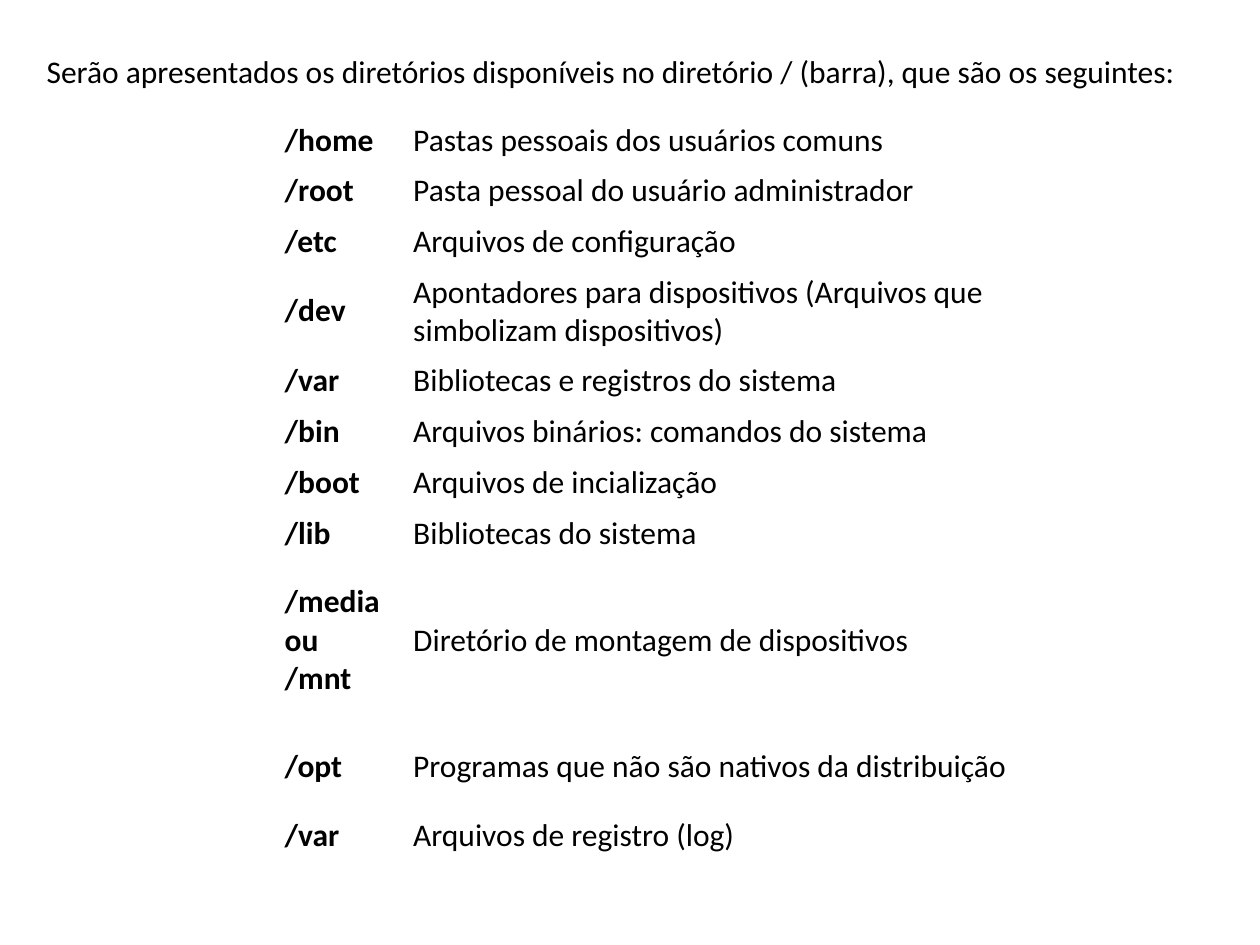
"""Build a slide listing the directories found under the root directory."""
from typing import NamedTuple

from pptx import Presentation
from pptx.dml.color import RGBColor
from pptx.enum.text import MSO_ANCHOR, MSO_AUTO_SIZE, PP_ALIGN
from pptx.util import Cm, Pt

LEFT = PP_ALIGN.LEFT
TOP = MSO_ANCHOR.TOP
MIDDLE = MSO_ANCHOR.MIDDLE
GROW = MSO_AUTO_SIZE.SHAPE_TO_FIT_TEXT
BLACK = RGBColor(0x00, 0x00, 0x00)

TITLE_ONLY = 5
FONT_FORMAT = {"name": "Calibri", "size": Pt(18)}
TITLE_PLACE = {"left": Cm(0.69), "top": Cm(0.91), "width": Cm(24.21), "height": Cm(3.3)}
TITLE_FRAME = {"word_wrap": True, "vertical_anchor": TOP, "auto_size": GROW}
TABLE_FORMAT = {"first_row": False, "horz_banding": False}
MARGINS = {
    "margin_left": Cm(0.25),
    "margin_right": Cm(0.25),
    "margin_top": Cm(0.13),
    "margin_bottom": Cm(0.13),
}
COLUMN_WIDTHS = (Cm(2.59), Cm(12.93))
ONE_LINE = Cm(1.02)
TWO_LINES = Cm(1.78)
TALL = Cm(3.3)

INTRODUCTION = (
    "Serão apresentados os diretórios disponíveis no diretório / (barra), "
    "que são os seguintes:"
)


class Directory(NamedTuple):
    name: str
    purpose: str
    height: Cm = ONE_LINE


DIRECTORIES = (
    Directory("/home", "Pastas pessoais dos usuários comuns"),
    Directory("/root", "Pasta pessoal do usuário administrador"),
    Directory("/etc", "Arquivos de configuração"),
    Directory(
        "/dev",
        "Apontadores para dispositivos (Arquivos que simbolizam dispositivos)",
        TWO_LINES,
    ),
    Directory("/var", "Bibliotecas e registros do sistema"),
    Directory("/bin", "Arquivos binários: comandos do sistema"),
    Directory("/boot", "Arquivos de incialização"),
    Directory("/lib", "Bibliotecas do sistema"),
    Directory("/media ou /mnt", "Diretório de montagem de dispositivos", TALL),
    Directory("/opt", "Programas que não são nativos da distribuição", TWO_LINES),
    Directory("/var", "Arquivos de registro (log)"),
)


def apply_format(target, values: dict) -> None:
    for name, value in values.items():
        setattr(target, name, value)


def write_text(frame, text: str, bold: bool = False) -> None:
    para = frame.paragraphs[0]
    para.alignment = LEFT
    span = para.add_run()
    span.text = text
    apply_format(span.font, FONT_FORMAT | {"bold": bold})
    span.font.color.rgb = BLACK


def add_introduction(page) -> None:
    box = page.shapes.title
    apply_format(box, TITLE_PLACE)
    apply_format(box.text_frame, MARGINS | TITLE_FRAME)
    write_text(box.text_frame, INTRODUCTION)


def add_directory_table(page, directories: tuple[Directory, ...]) -> None:
    table = page.shapes.add_table(
        len(directories),
        len(COLUMN_WIDTHS),
        Cm(5.49),
        Cm(2.31),
        sum(COLUMN_WIDTHS),
        sum(directory.height for directory in directories),
    ).table
    apply_format(table, TABLE_FORMAT)
    for column, width in zip(table.columns, COLUMN_WIDTHS):
        column.width = width
    for row, directory in zip(table.rows, directories):
        row.height = directory.height
        texts = (directory.name, directory.purpose)
        for index, (cell, text) in enumerate(zip(row.cells, texts)):
            cell.fill.background()
            apply_format(cell, MARGINS | {"vertical_anchor": MIDDLE})
            write_text(cell.text_frame, text, bold=index == 0)


def main() -> None:
    deck = Presentation()
    apply_format(deck, {"slide_width": Cm(25.4), "slide_height": Cm(19.05)})
    page = deck.slides.add_slide(deck.slide_layouts[TITLE_ONLY])
    add_introduction(page)
    add_directory_table(page, DIRECTORIES)
    deck.save("out.pptx")


if __name__ == "__main__":
    main()
